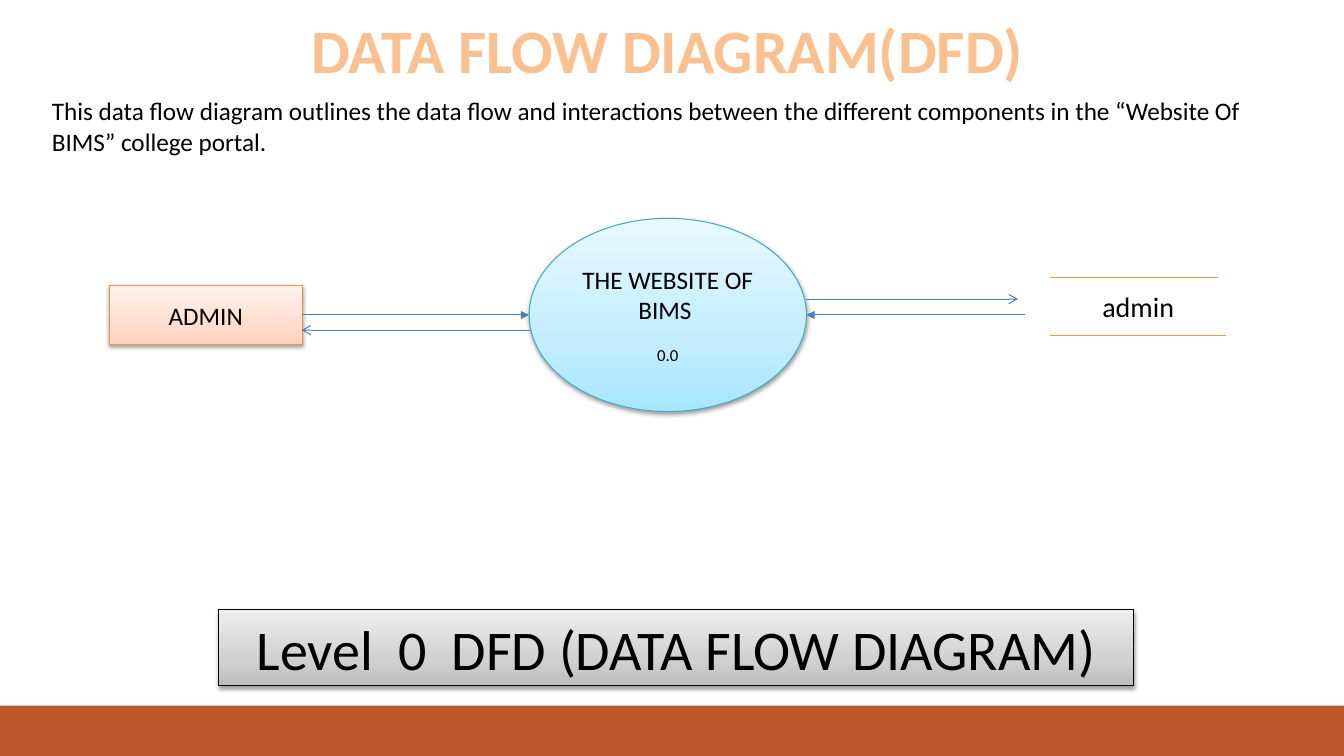
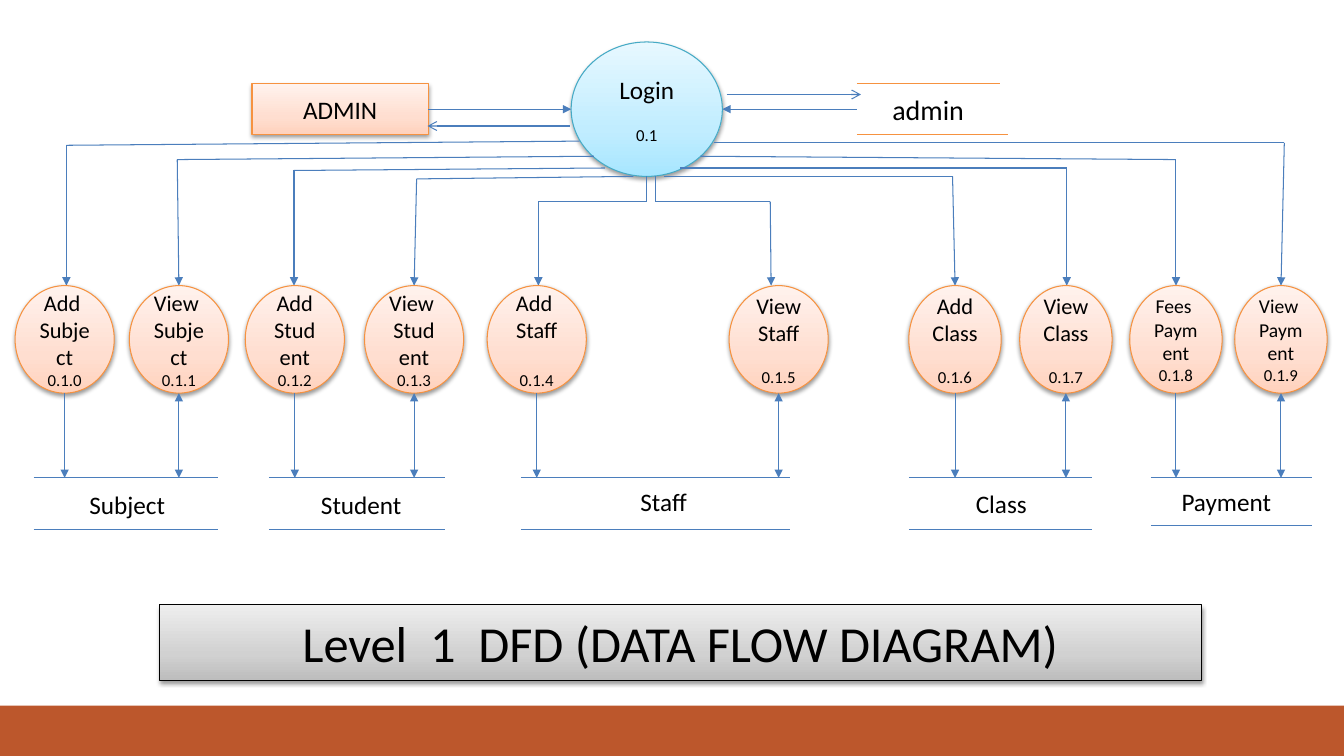
from copy import deepcopy
from pptx import Presentation
from pptx.dml.color import RGBColor
from pptx.enum.shapes import MSO_CONNECTOR as Link, MSO_SHAPE as Form
from pptx.enum.text import MSO_ANCHOR as Anchor, PP_ALIGN as Align
from pptx.oxml import parse_xml
from pptx.oxml.ns import nsdecls, qn
from pptx.util import Inches, Pt

COLS, ROWS = 160, 90
CELL = Inches(1) / 12
FONT = "Calibri"
BLUE, RUST, PEACH, INK = "4B7EBC", "BC572C", "FAC090", "000000"
SKY = ("46AAC5", "A7E6FF", "C1EDFF", "E7F8FF")
SAND = ("F69240", "FFD2BD", "FFDED0", "FFF2ED")
GREY = (INK, "BDBDBD", "D1D1D1", "EEEEEE")
hue = RGBColor.from_string


def put(page, form, area, rows, tone=None):
    spot = [round(n * CELL) for n in area]
    if form is None:
        box = page.shapes.add_textbox(*spot)
    else:
        box = page.shapes.add_shape(form, *spot)
        box.shadow.inherit = False
    if tone:
        box.line.color.rgb = hue(tone[0])
        box.line.width = Pt(0.75)
        box.fill.gradient()
        box.fill.gradient_angle = 90
        props = box._element.spPr
        stops = props.find(qn("a:gradFill")).find(qn("a:gsLst"))
        stops.insert(1, deepcopy(stops[0]))
        for stop, place, code in zip(box.fill.gradient_stops, (0, 0.35, 1), tone[1:]):
            stop.position = place
            stop.color.rgb = hue(code)
        props.find(qn("a:effectLst")).append(parse_xml(
            f'<a:outerShdw {nsdecls("a")} blurRad="40000" dist="20000" dir="5400000" '
            f'rotWithShape="0"><a:srgbClr val="{INK}"><a:alpha val="38000"/>'
            '</a:srgbClr></a:outerShdw>'))
    frame = box.text_frame
    frame.word_wrap = True
    frame.vertical_anchor = Anchor.MIDDLE
    for k, (text, size, gap) in enumerate(rows):
        para = frame.add_paragraph() if k else frame.paragraphs[0]
        para.alignment = Align.CENTER
        if gap:
            para.space_before = Pt(gap)
        run = para.add_run()
        run.text = text
        run.font.name = FONT
        run.font.size = Pt(size)
        run.font.color.rgb = hue(INK)
    return box


def draw(page, route, tail=None, head=None, code=BLUE):
    legs = list(zip(route, route[1:]))
    for k, (start, end) in enumerate(legs):
        ends = [round(n * CELL) for n in start + end]
        line = page.shapes.add_connector(Link.STRAIGHT, *ends)
        line.line.color.rgb = hue(code)
        line.line.width = Pt(0.75)
        props = line._element.spPr
        pen = props.find(qn("a:ln"))
        if head and k == 0:
            pen.append(parse_xml(f'<a:headEnd {nsdecls("a")} type="{head}"/>'))
        if tail and k == len(legs) - 1:
            pen.append(parse_xml(f'<a:tailEnd {nsdecls("a")} type="{tail}"/>'))
        props.append(parse_xml(f'<a:effectLst {nsdecls("a")}/>'))


deck = Presentation()
deck.slide_width = round(COLS * CELL)
deck.slide_height = round(ROWS * CELL)
blank = deck.slide_layouts[6]
top, tree = [deck.slides.add_slide(blank) for _ in range(2)]

band = put(top, Form.RECTANGLE, (0, 84, COLS, 6), [])
band.fill.solid()
band.fill.fore_color.rgb = hue(RUST)
band.line.fill.background()
band._element.nvSpPr.cNvPr.set("id", "99")
deck.slide_master.shapes._spTree.append(band._element)

title = put(top, None, (2, 0.8, 155, 10), [("DATA FLOW DIAGRAM(DFD)", 44, 0)])
run = title.text_frame.paragraphs[0].runs[0]
run.font.bold = True
run.font.color.rgb = hue(PEACH)
run._r.get_or_add_rPr().insert(0, parse_xml(
    f'<a:ln {nsdecls("a")} w="22225"><a:solidFill><a:srgbClr val="E46C0A"/>'
    '</a:solidFill></a:ln>'))

intro = put(top, None, (5, 10.8, 148, 8.5), [(
    "This data flow diagram outlines the data flow and interactions between the "
    "different components in the “Website Of BIMS” college portal.", 18, 0)])
intro.text_frame.vertical_anchor = Anchor.TOP
intro.text_frame.paragraphs[0].alignment = Align.LEFT

views = [
    (top, Form.OVAL, (63, 26, 33, 23), "THE WEBSITE OF BIMS ", "0.0",
     (13, 34, 23, 7), (125, 35, 21, 3), (125, 145, 33), (125, 146, 40),
     (26, 72.6, 109, 9), "Level  0  DFD (DATA FLOW DIAGRAM)", 40),
    (tree, Form.FLOWCHART_CONNECTOR, (68, 5, 18, 16), "Login", "0.1",
     (30, 10, 21, 6), (102, 10, 17, 6), (102, 119, 10), (102, 120, 16),
     (19, 72, 124, 9), "Level  1  DFD (DATA FLOW DIAGRAM)", 36),
]
for page, form, hub, name, code, user, store, roof, base, sign, text, size in views:
    put(page, form, hub, [(name, 18, 0), (code, 12, 14.4)], SKY)
    put(page, Form.RECTANGLE, user, [("ADMIN", 18, 0)], SAND)
    put(page, None, store, [("admin", 20, 0)])
    for left, right, row in (roof, base):
        draw(page, [(left, row), (right, row)], code=SAND[0])
    put(page, Form.RECTANGLE, sign, [(text, size, 0)], GREY)

flows = [
    (top, 36, 63, 37.5, "triangle"), (top, 122, 96, 37.5, "triangle"),
    (top, 63.1, 35.9, 39.3, "arrow"), (top, 95.9, 121.2, 35.6, "arrow"),
    (tree, 51, 68, 13, "triangle"), (tree, 102, 86, 13, "triangle"),
    (tree, 67.8, 50.9, 15, "arrow"), (tree, 86.5, 102.5, 11.25, "arrow"),
]
for page, start, end, row, tip in flows:
    draw(page, [(start, row), (end, row)], tip)

RIM, TALL, SHELF = 34, 12.8, 56.9
WIDE, SLIM = 11.8, 11
tasks = [
    (1.8, WIDE, 16, ["Add ", "Subject"], 0, [(69, 16.8), (7.9, 17.3), (7.9, RIM)]),
    (15.4, WIDE, 16, ["View ", "Subject"], 0, [(70.7, 18.6), (21.1, 19), (21.3, RIM)]),
    (29.2, WIDE, 16, ["Add", "Student"], 0, [(72, 20), (35, 20.3), (35, RIM)]),
    (43.4, WIDE, 16, ["View ", "Student"], 0, [(75.4, 21), (49.6, 21.3), (49.3, RIM)]),
    (58, WIDE, 16, ["Add ", "Staff"], 19.2, [(77, 21), (77, 24), (64.1, 24), (64.1, RIM)]),
    (86.8, WIDE, 16, ["View Staff"], 14.4, [(78, 21), (78, 24), (91.7, 24), (91.8, RIM)]),
    (108.2, SLIM, 16, ["Add", "Class"], 14.4, [(79, 21), (113.4, 21), (113.7, RIM)]),
    (121.4, SLIM, 16, ["View ", "Class"], 14.4, [(81, 20), (127, 20), (127, RIM)]),
    (134.5, SLIM, 14, ["Fees ", "Payment"], 0, [(83.4, 18.6), (140, 19), (140, RIM)]),
    (147, SLIM, 14, ["View ", "Payment"], 0, [(85, 17), (152.9, 17), (152.5, RIM)]),
]
for k, (left, width, size, words, gap, route) in enumerate(tasks):
    draw(tree, route, "triangle")
    rows = [(word, size, 0) for word in words] + [(f"0.1.{k}", 12, gap)]
    put(tree, Form.OVAL, (left, RIM, width, TALL), rows, SAND)
    mid = left + width / 2
    draw(tree, [(mid, RIM + TALL), (mid, SHELF)], "triangle", "triangle" if k % 2 else None)

stores = [
    ("Subject", 4, 26, 5, 20.3, 60, 63),
    ("Student", 32, 53, 32, 22, 60, 63),
    ("Staff", 62, 94, 62, 34, 59.7, 63),
    ("Class", 108.2, 130, 108.2, 22, 59.9, 63),
    ("Payment", 137, 156.2, 137, 18, 59.7, 62.6),
]
for name, left, right, edge, width, mid, foot in stores:
    for row in (SHELF, foot):
        draw(tree, [(left, row), (right, row)])
    put(tree, None, (edge, mid - 2, width, 4), [(name, 18, 0)])

deck.save("out.pptx")
